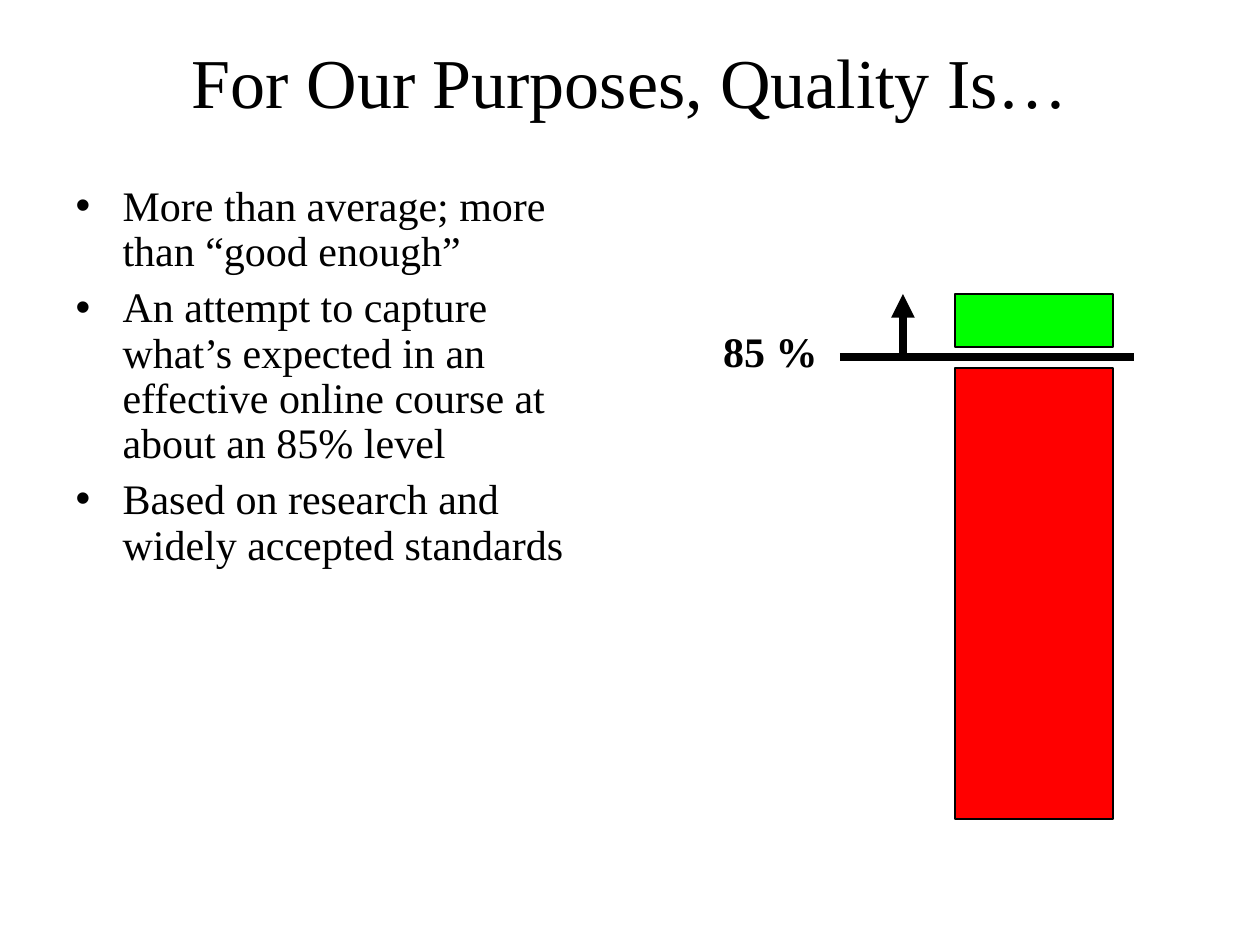
from dataclasses import dataclass

from lxml import etree
from pptx import Presentation
from pptx.dml.color import RGBColor
from pptx.enum.shapes import MSO_CONNECTOR, MSO_SHAPE
from pptx.enum.text import MSO_ANCHOR, MSO_AUTO_SIZE, PP_ALIGN
from pptx.oxml.ns import qn
from pptx.util import Pt

STRAIGHT = MSO_CONNECTOR.STRAIGHT
RECTANGLE = MSO_SHAPE.RECTANGLE
MIDDLE, TOP = MSO_ANCHOR.MIDDLE, MSO_ANCHOR.TOP
CENTER, LEFT = PP_ALIGN.CENTER, PP_ALIGN.LEFT
NO_FIT = MSO_AUTO_SIZE.NONE
PX = 914400 // 126


@dataclass(frozen=True)
class Theme:
    font: str = "Times New Roman"
    ink: RGBColor = RGBColor(0, 0, 0)
    above: RGBColor = RGBColor(0, 255, 0)
    below: RGBColor = RGBColor(255, 0, 0)
    title: int = 40
    body: int = 24
    thick: float = 4.5
    thin: float = 0.75


theme = Theme()


def place(sp, x, y, w, h):
    sp.left, sp.top, sp.width, sp.height = (v * PX for v in (x, y, w, h))


def style(p, size, align, bold=False):
    p.alignment = align
    p.font.name, p.font.size, p.font.bold = theme.font, Pt(size), bold
    p.font.color.rgb = theme.ink


prs = Presentation()
prs.slide_width, prs.slide_height = 1260 * PX, 945 * PX
s = prs.slides.add_slide(prs.slide_layouts[1])

# Title
title = s.shapes.title
place(title, 63, 21, 1134, 120)
tf = title.text_frame
tf.text = "For Our Purposes, Quality Is…"
tf.auto_size, tf.vertical_anchor = NO_FIT, MIDDLE
style(tf.paragraphs[0], theme.title, CENTER)

# Bullet list
body = s.placeholders[1]
place(body, 63, 179, 557, 665)
tf = body.text_frame
tf.text = "\n".join([
    "More than average; more than “good enough”",
    "An attempt to capture what’s expected in an effective online course "
    "at about an 85% level",
    "Based on research and widely accepted standards",
])
tf.auto_size, tf.vertical_anchor = NO_FIT, TOP
for p in tf.paragraphs:
    style(p, theme.body, LEFT)
    p.line_spacing, p.space_before = 0.9, Pt(6)
    pPr = p._p.get_or_add_pPr()
    pPr.set("marL", str(47 * PX))
    pPr.set("indent", str(-47 * PX))

# Threshold label
label = s.shapes.add_textbox(693 * PX, 315 * PX, 158 * PX, 63 * PX)
tf = label.text_frame
tf.word_wrap = True
tf.margin_left, tf.margin_top = 30 * PX, 11 * PX
tf.text = "85 %"
style(tf.paragraphs[0], theme.body, LEFT, bold=True)

# Bar parts below and above the threshold
for y, h, color in [(368, 451, theme.below), (294, 53, theme.above)]:
    bar = s.shapes.add_shape(RECTANGLE, 955 * PX, y * PX, 158 * PX, h * PX)
    bar.shadow.inherit = False
    bar.fill.solid()
    bar.fill.fore_color.rgb = color
    bar.line.color.rgb = theme.ink
    bar.line.width = Pt(theme.thin)

# Threshold line and upward arrow
for x1, y1, x2, y2, arrow in [(840, 357, 1134, 357, False),
                              (903, 357, 903, 294, True)]:
    line = s.shapes.add_connector(STRAIGHT, x1 * PX, y1 * PX, x2 * PX, y2 * PX)
    line.line.color.rgb = theme.ink
    line.line.width = Pt(theme.thick)
    if arrow:
        etree.SubElement(line.line._get_or_add_ln(), qn("a:tailEnd"), type="triangle")
    etree.SubElement(line._element.spPr, qn("a:effectLst"))

prs.save("out.pptx")
